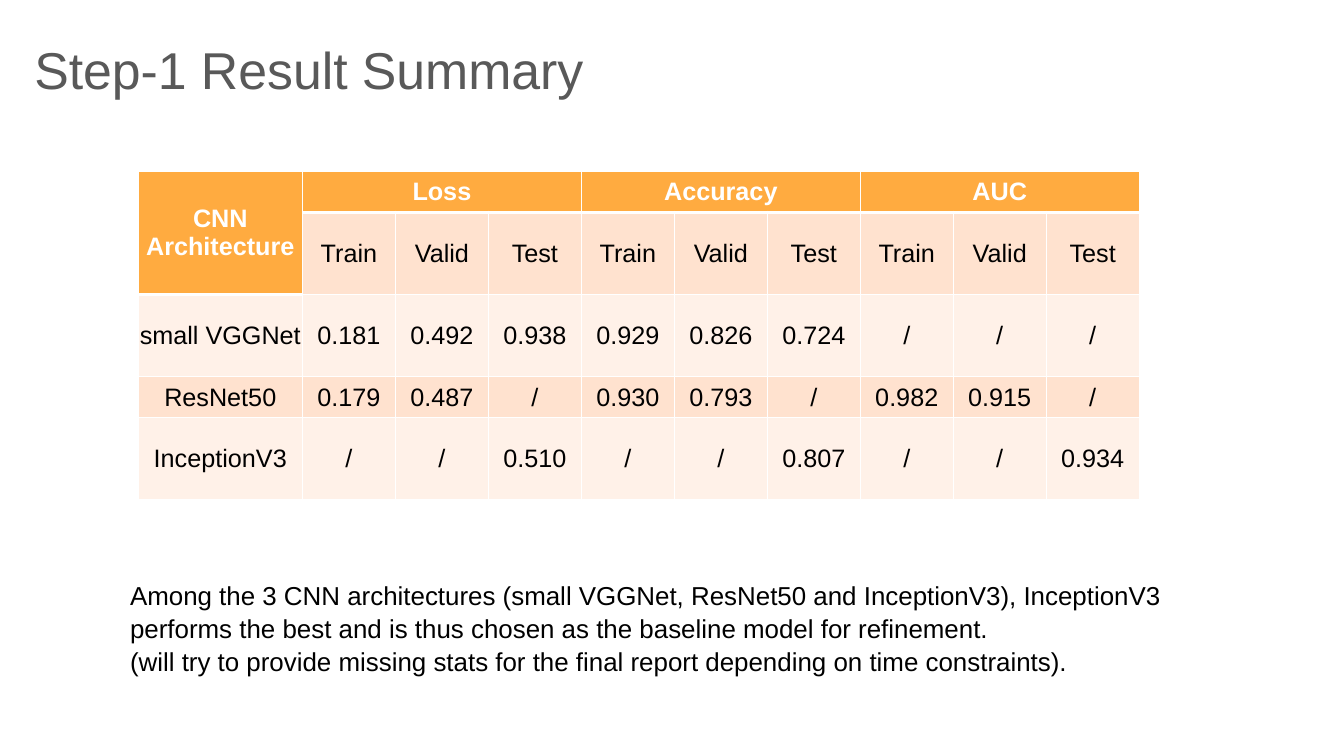
from lxml.etree import SubElement
from pptx import Presentation
from pptx.dml.color import RGBColor
from pptx.enum.text import MSO_ANCHOR, PP_ALIGN
from pptx.oxml.ns import qn
from pptx.util import Inches, Pt

COLORS = {"title": "595959", "text": "000000", "white": "FFFFFF",
          "header": "FFAB40", "band": "FFE2CF", "light": "FFF1E8"}


def write(frame, *paragraphs, size, color="text", bold=False, align=PP_ALIGN.LEFT, spacing=1.0):
    frame.word_wrap = True
    for index, words in enumerate(paragraphs):
        paragraph = frame.paragraphs[0] if index == 0 else frame.add_paragraph()
        paragraph.alignment = align
        paragraph.line_spacing = spacing
        run = paragraph.add_run()
        run.text = words
        run.font.name = "Arial"
        run.font.size = Pt(size)
        run.font.bold = bold
        run.font.color.rgb = RGBColor.from_string(COLORS[color])


def add_border(cell, side, width):
    line = SubElement(cell._tc.get_or_add_tcPr(), qn(f"a:ln{side}"), w=str(Pt(width)))
    fill = SubElement(line, qn("a:solidFill"))
    SubElement(fill, qn("a:srgbClr"), val=COLORS["white"])


presentation = Presentation()
presentation.slide_width = Inches(13.33)
presentation.slide_height = Inches(7.5)
slide = presentation.slides.add_slide(presentation.slide_layouts[6])

title = ["Step-1 Result Summary"]
conclusion = [
    "Among the 3 CNN architectures (small VGGNet, ResNet50 and InceptionV3), InceptionV3 "
    "performs the best and is thus chosen as the baseline model for refinement.",
    "(will try to provide missing stats for the final report depending on time constraints).",
]
for paragraphs, place, style in [
    (title, (0.21, 0.17, 12.42, 1.16), {"size": 37, "color": "title", "spacing": 1.12}),
    (conclusion, (1.16, 5.6, 10.88, 0.97), {"size": 18.5, "spacing": 1.06}),
]:
    frame = slide.shapes.add_textbox(*map(Inches, place)).text_frame
    frame.margin_left = frame.margin_right = Inches(0.13)
    frame.margin_top = frame.margin_bottom = Inches(0.13)
    write(frame, *paragraphs, **style)

metrics = ["Loss", "Accuracy", "AUC"]
splits = ["Train", "Valid", "Test"]
scores = {
    "small VGGNet": "0.181 0.492 0.938 0.929 0.826 0.724 / / /",
    "ResNet50": "0.179 0.487 / 0.930 0.793 / 0.982 0.915 /",
    "InceptionV3": "/ / 0.510 / / 0.807 / / 0.934",
}
header = ["CNN Architecture"]
for metric in metrics:
    header += [metric, "", ""]
rows = [header, [""] + splits * len(metrics)]
rows += [[model] + values.split() for model, values in scores.items()]

table_width, name_width = 9.93, 1.63
score_width = (table_width - name_width) / 9
line_height = 3.26 / 8
row_lines = [1, 2, 2, 1, 2]
results = slide.shapes.add_table(len(rows), len(header), Inches(1.37), Inches(1.7),
                                 Inches(table_width), Inches(line_height * 8)).table
results.first_row = results.horz_banding = False
for column_index, column in enumerate(results.columns):
    column.width = Inches(score_width if column_index else name_width)
for row, lines in zip(results.rows, row_lines):
    row.height = Inches(line_height * lines)

for row_index, row in enumerate(rows):
    for column_index, words in enumerate(row):
        cell = results.cell(row_index, column_index)
        header_rows = 1 if column_index else 2
        in_header = row_index < header_rows
        cell.margin_left = cell.margin_right = cell.margin_top = cell.margin_bottom = 0
        cell.vertical_anchor = MSO_ANCHOR.MIDDLE
        for side, width in [("L", 1), ("R", 1),
                            ("T", 3 if row_index == header_rows else 1),
                            ("B", 3 if in_header else 1)]:
            add_border(cell, side, width)
        band = "band" if row_index % 2 else "light"
        cell.fill.solid()
        cell.fill.fore_color.rgb = RGBColor.from_string(COLORS["header" if in_header else band])
        if words:
            write(cell.text_frame, words, size=18, bold=in_header,
                  color="white" if in_header else "text", align=PP_ALIGN.CENTER)

results.cell(0, 0).merge(results.cell(1, 0))
for first in range(1, len(header), len(splits)):
    results.cell(0, first).merge(results.cell(0, first + len(splits) - 1))

presentation.save("out.pptx")
